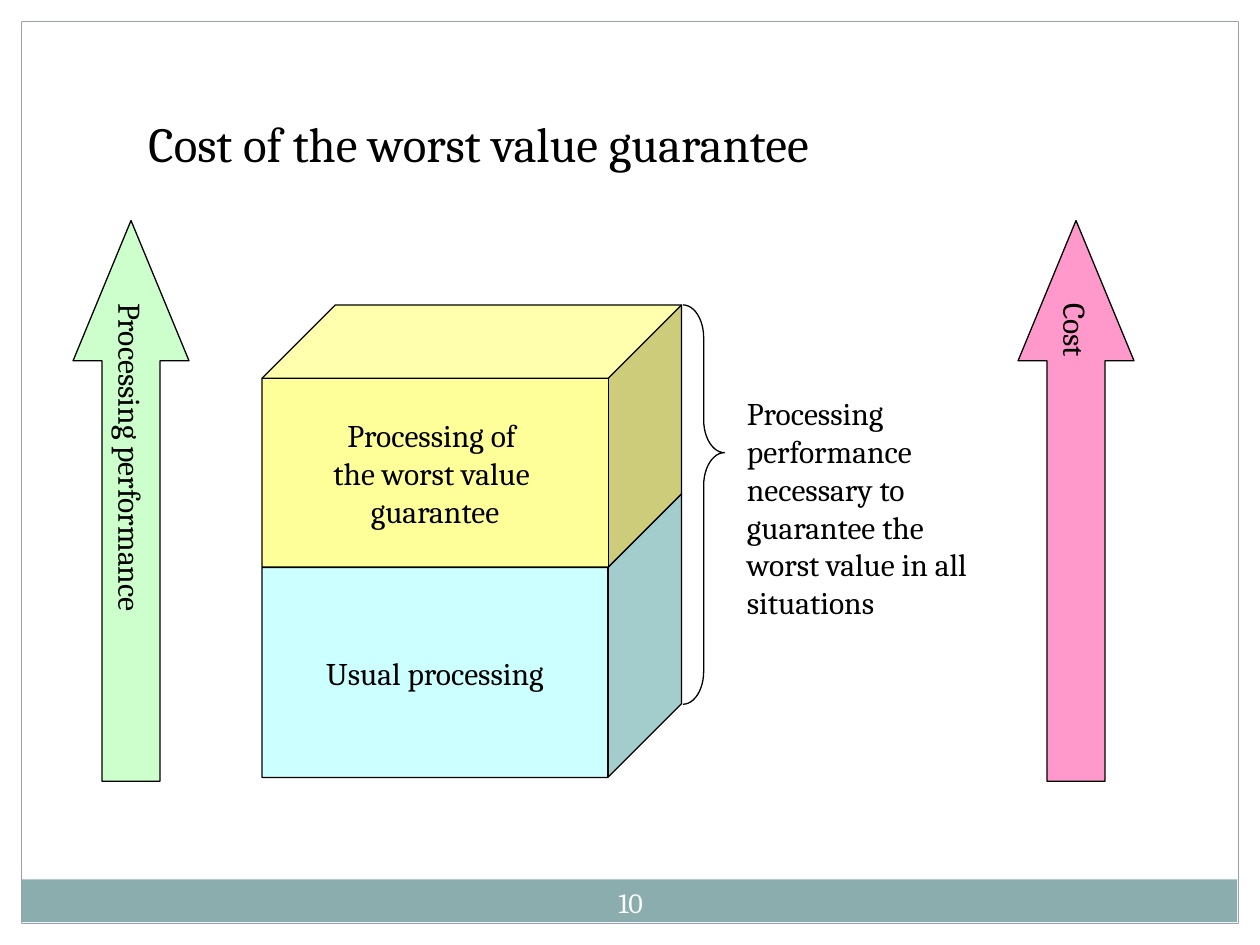
from dataclasses import dataclass

from pptx import Presentation
from pptx.dml.color import RGBColor
from pptx.enum.shapes import MSO_SHAPE as Shape
from pptx.enum.text import MSO_ANCHOR as Anchor, MSO_AUTO_SIZE as AutoSize, PP_ALIGN as Align
from pptx.util import Inches, Pt


@dataclass(frozen=True)
class Theme:
    font: str = "Cambria"
    title_size: int = 28
    body_size: int = 18
    number_size: int = 16
    line_width: float = 0.75
    black: str = "000000"
    white: str = "FFFFFF"
    frame: str = "646B86"
    footer: str = "8CADAE"
    usual: str = "CCFFFF"
    worst: str = "FFFF99"
    performance: str = "CCFFCC"
    cost: str = "FF99CC"


class SlideBuilder:
    def __init__(self, slide, theme):
        self.slide = slide
        self.theme = theme

    def shape(self, kind, box, fill=None, line=None, adjustments=()):
        shape = self.slide.shapes.add_shape(kind, *map(Inches, box))
        shape.shadow.inherit = False
        for index, value in enumerate(adjustments):
            shape.adjustments[index] = value
        if fill:
            shape.fill.solid()
            shape.fill.fore_color.rgb = RGBColor.from_string(fill)
        else:
            shape.fill.background()
        if line:
            shape.line.color.rgb = RGBColor.from_string(line)
            shape.line.width = Pt(self.theme.line_width)
        else:
            shape.line.fill.background()
        return shape

    def label(self, shape, lines, size, color, align=Align.CENTER, insets=(0.1, 0.05), **frame_format):
        frame = shape.text_frame
        horizontal, vertical = map(Inches, insets)
        values = {
            "margin_left": horizontal, "margin_right": horizontal,
            "margin_top": vertical, "margin_bottom": vertical,
            "vertical_anchor": Anchor.MIDDLE, "word_wrap": False,
        }
        for name, value in (values | frame_format).items():
            setattr(frame, name, value)
        for index, text in enumerate(lines):
            paragraph = frame.add_paragraph() if index else frame.paragraphs[0]
            paragraph.alignment = align
            run = paragraph.add_run()
            run.text = text
            for name, value in {"name": self.theme.font, "size": Pt(size)}.items():
                setattr(run.font, name, value)
            run.font.color.rgb = RGBColor.from_string(color)

    def text(self, box, text, size, color=None, **text_format):
        shape = self.slide.shapes.add_textbox(*map(Inches, box))
        self.label(shape, [text], size, color or self.theme.black, word_wrap=True, **text_format)

    def cube(self, box, depth, fill, lines):
        shape = self.shape(Shape.CUBE, box, fill, self.theme.black, [depth])
        self.label(shape, lines, self.theme.body_size, self.theme.black)

    def up_arrow(self, left, fill, text):
        shape = self.shape(Shape.UP_ARROW, (left, 1.75, 0.92, 4.45), fill,
                           self.theme.black, [0.5, 1.21])
        self.label(shape, [text], self.theme.body_size, self.theme.black, insets=(0.05, 0.1))
        shape.text_frame._txBody.bodyPr.set("vert", "eaVert")

    def brace(self, box):
        self.shape(Shape.RIGHT_BRACE, box, line=self.theme.black, adjustments=[0.79, 0.37])


def main():
    theme = Theme()
    width, height, margin = 10, 7.5, 0.17
    presentation = Presentation()
    presentation.slide_width, presentation.slide_height = Inches(width), Inches(height)
    builder = SlideBuilder(presentation.slides.add_slide(presentation.slide_layouts[6]), theme)

    # Footer band, frame and white page margins
    builder.shape(Shape.RECTANGLE, (0.16, 6.98, 9.66, 0.34), theme.footer)
    builder.shape(Shape.RECTANGLE, (margin, margin, width - 2 * margin, height - 2 * margin),
                  line=theme.frame)
    for box in (
        (0, height - margin, width, margin),
        (0, 0, width, margin),
        (0, 0, margin, height),
        (width - margin, 0, margin, height),
    ):
        builder.shape(Shape.RECTANGLE, box, theme.white)

    # Title
    flowing = {"align": Align.LEFT, "vertical_anchor": Anchor.TOP,
               "auto_size": AutoSize.SHAPE_TO_FIT_TEXT}
    builder.text((1.08, 0.85, 6.03, 1.04), "Cost of the worst value guarantee",
                 theme.title_size, **flowing)

    # Stacked processing cubes
    builder.cube((2.08, 3.92, 3.33, 2.25), 0.26, theme.usual, ["Usual processing"])
    builder.cube((2.08, 2.42, 3.33, 2.08), 0.28, theme.worst,
                 ["Processing of ", "the worst value ", "guarantee"])

    # Side arrows
    builder.up_arrow(0.58, theme.performance, "Processing performance")
    builder.up_arrow(8.08, theme.cost, "Cost")

    # Brace and its explanation
    builder.brace((5.42, 2.42, 0.33, 3.17))
    builder.text((5.83, 3.08, 2.17, 1.9),
                 "Processing performance necessary to guarantee the worst value in all situations",
                 theme.body_size, **flowing)

    # Slide number
    builder.text((4.67, 6.92, 0.67, 0.48), "10", theme.number_size, theme.white,
                 insets=(0.05, 0.05))

    presentation.save("out.pptx")


if __name__ == "__main__":
    main()
